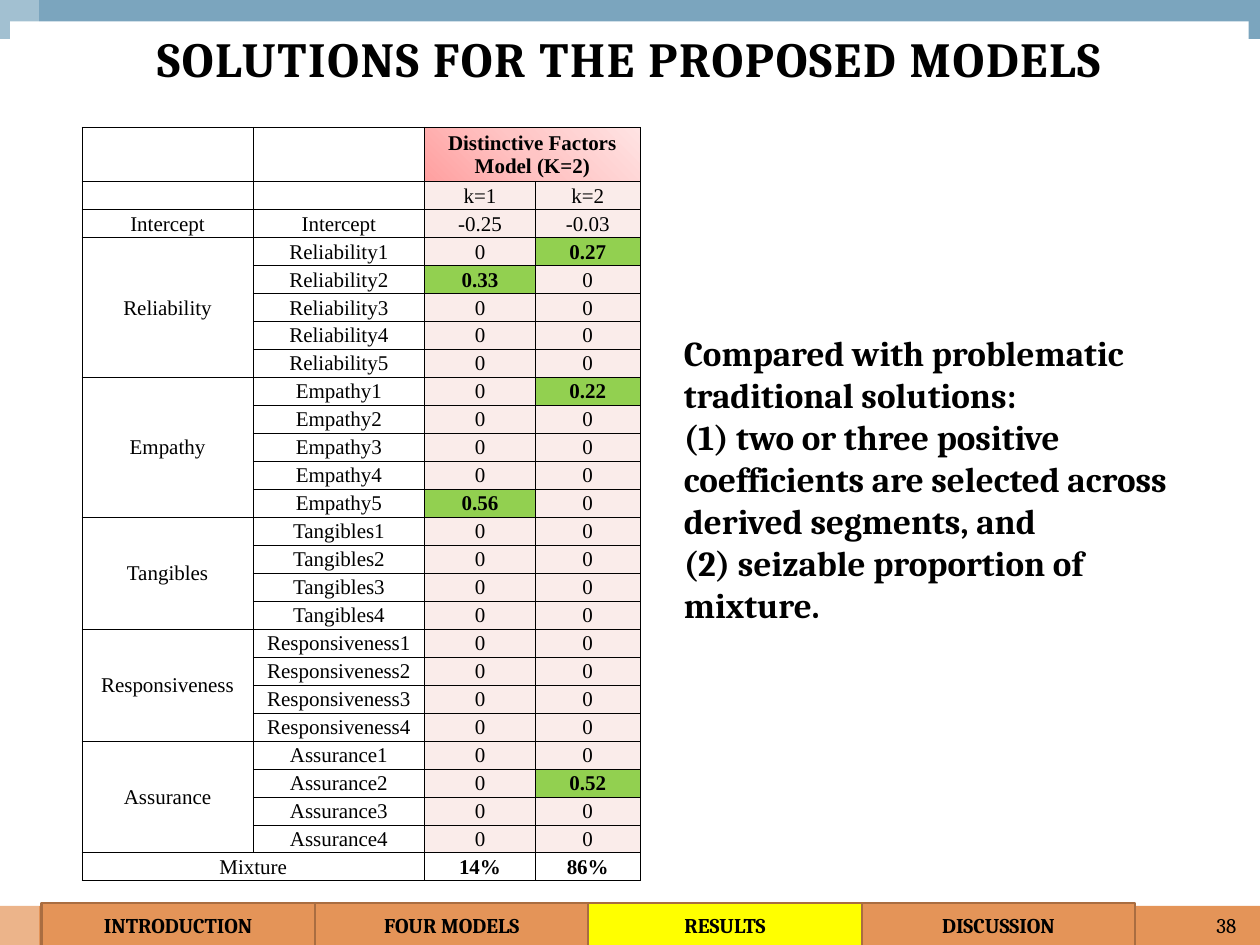
from dataclasses import dataclass
from typing import NamedTuple

from lxml.etree import SubElement
from pptx import Presentation
from pptx.dml.color import RGBColor
from pptx.enum.shapes import MSO_SHAPE
from pptx.enum.text import MSO_ANCHOR as Anchor, PP_ALIGN as Align
from pptx.oxml.ns import qn
from pptx.util import Inches, Pt


@dataclass(frozen=True)
class Theme:
    heading_font: str = "Cambria"
    table_font: str = "Times New Roman"
    title_size: int = 28
    body_size: int = 20
    small_size: int = 12
    black: str = "000000"
    white: str = "FFFFFF"
    orange: str = "E49458"
    orange_line: str = "A96D41"
    blue: str = "7BA5BE"
    active: str = "FFFF00"
    value: str = "FAECEA"
    selected: str = "92D050"
    header_stops: tuple = ((0, "FFA0A0"), (50, "FFC5C5"), (100, "FFE3E3"))


class Box(NamedTuple):
    left: float
    top: float
    width: float
    height: float

    def lengths(self) -> list:
        return [Inches(v) for v in self]


class Factor(NamedTuple):
    name: str
    items: int


T = Theme()
FACTORS = [Factor("Reliability", 5), Factor("Empathy", 5), Factor("Tangibles", 4),
           Factor("Responsiveness", 4), Factor("Assurance", 4)]
COEFFICIENTS = {"Reliability1": ("0", "0.27"), "Reliability2": ("0.33", "0"),
                "Empathy1": ("0", "0.22"), "Empathy5": ("0.56", "0"),
                "Assurance2": ("0", "0.52")}
SECTIONS = ["INTRODUCTION", "FOUR MODELS", "RESULTS", "DISCUSSION"]
CURRENT_SECTION = "RESULTS"
TABLE_BOX = Box(0.65, 1.01, 4.43, 5.99)
COLUMN_WIDTHS = [1.36, 1.36, 0.88, 0.83]
HEADER_HEIGHT = 0.43


def rgb(color: str) -> RGBColor:
    return RGBColor.from_string(color)


def add_rect(s, box: Box, fill: str, line: str = "", opacity: int = 100):
    sp = s.shapes.add_shape(MSO_SHAPE.RECTANGLE, *box.lengths())
    sp.shadow.inherit = False
    sp.fill.solid()
    sp.fill.fore_color.rgb = rgb(fill)
    if opacity < 100:
        color = sp.fill._xPr.find(".//" + qn("a:srgbClr"))
        SubElement(color, qn("a:alpha"), val=str(opacity * 1000))
    if line:
        sp.line.color.rgb = rgb(line)
        sp.line.width = Pt(1.25)
    else:
        sp.line.fill.background()
    return sp


def set_text(tf, text: str, size: int, align=Align.CENTER, anchor=Anchor.MIDDLE,
             bold: bool = True, font: str = T.heading_font) -> None:
    tf.word_wrap = True
    tf.vertical_anchor = anchor
    tf.text = text
    for p in tf.paragraphs:
        p.alignment = align
        for r in p.runs:
            r.font.name = font
            r.font.size = Pt(size)
            r.font.bold = bold
            r.font.color.rgb = rgb(T.black)


def set_borders(cell) -> None:
    tc_pr = cell._tc.get_or_add_tcPr()
    for i, side in enumerate(("lnL", "lnR", "lnT", "lnB")):
        ln = SubElement(tc_pr, qn(f"a:{side}"), w=str(Pt(0.5)))
        SubElement(SubElement(ln, qn("a:solidFill")), qn("a:srgbClr"), val=T.black)
        tc_pr.insert(i, ln)  # borders come before the fill


def fill_header(cell) -> None:
    cell.fill.gradient()
    cell.fill.gradient_angle = 45
    stops = cell._tc.find(".//" + qn("a:gsLst"))
    for stop in list(stops):
        stops.remove(stop)
    for position, color in T.header_stops:
        stop = SubElement(stops, qn("a:gs"), pos=str(position * 1000))
        SubElement(stop, qn("a:srgbClr"), val=color)


def set_cell(cell, text: str, fill: str, bold: bool) -> None:
    cell.margin_left = cell.margin_right = cell.margin_top = Inches(0.01)
    cell.margin_bottom = 0
    cell.vertical_anchor = Anchor.MIDDLE
    cell.fill.solid()
    cell.fill.fore_color.rgb = rgb(fill)
    tf = cell.text_frame
    tf.text = text
    p = tf.paragraphs[0]
    p.alignment = Align.CENTER
    for r in p.runs:
        r.font.name = T.table_font
        r.font.size = Pt(T.small_size)
        r.font.bold = bold
        r.font.color.rgb = rgb(T.black)
    if not text:  # keeps an empty cell from stretching its row
        SubElement(p._p, qn("a:endParaRPr"), sz=str(T.small_size * 100))
    set_borders(cell)


def table_rows() -> list[tuple[str, ...]]:
    rows = [("", "", "Distinctive Factors Model (K=2)", ""),
            ("", "", "k=1", "k=2"),
            ("Intercept", "Intercept", "-0.25", "-0.03")]
    for factor in FACTORS:
        for n in range(1, factor.items + 1):
            item = f"{factor.name}{n}"
            rows.append((factor.name if n == 1 else "", item,
                         *COEFFICIENTS.get(item, ("0", "0"))))
    return rows + [("Mixture", "", "14%", "86%")]


def add_results_table(s) -> None:
    rows = table_rows()
    last = len(rows) - 1
    table = s.shapes.add_table(len(rows), len(COLUMN_WIDTHS), *TABLE_BOX.lengths()).table
    for column, width in zip(table.columns, COLUMN_WIDTHS):
        column.width = Inches(width)
    for i, row in enumerate(table.rows):
        row.height = Inches((TABLE_BOX.height - HEADER_HEIGHT) / last if i else HEADER_HEIGHT)

    for i, row in enumerate(rows):
        for j, text in enumerate(row):
            is_value = j >= 2 and i < last
            selected = is_value and i > 2 and text != "0"
            fill = T.selected if selected else T.value if is_value else T.white
            set_cell(table.cell(i, j), text, fill,
                     bold=selected or i == 0 or (i == last and j >= 2))

    fill_header(table.cell(0, 2))
    table.cell(0, 2).merge(table.cell(0, 3))
    table.cell(last, 0).merge(table.cell(last, 1))
    top = 3
    for factor in FACTORS:
        table.cell(top, 0).merge(table.cell(top + factor.items - 1, 0))
        top += factor.items


def add_section_tabs(s) -> None:
    width = 2.17
    for i, name in enumerate(SECTIONS):
        fill = T.active if name == CURRENT_SECTION else T.orange
        sp = add_rect(s, Box(0.33 + i * width, 7.17, width, 0.34), fill, T.orange_line)
        set_text(sp.text_frame, name, T.small_size)


def main() -> None:
    prs = Presentation()
    prs.slide_width, prs.slide_height = Inches(10), Inches(7.5)
    s = prs.slides.add_slide(prs.slide_layouts[6])

    add_rect(s, Box(0, 7.19, 10, 0.31), T.orange)
    add_rect(s, Box(0, 0, 10, 0.31), T.blue)
    add_rect(s, Box(0, 0, 0.31, 7.5), T.white, opacity=30)

    title = add_rect(s, Box(0.08, 0.17, 9.83, 0.58), T.white)
    set_text(title.text_frame, "SOLUTIONS FOR THE PROPOSED MODELS", T.title_size)
    title.text_frame.paragraphs[0].runs[0].font._element.set("spc", "100")

    number = s.shapes.add_textbox(*Box(7.58, 7.19, 2.33, 0.31).lengths())
    set_text(number.text_frame, "38", T.small_size, Align.RIGHT, bold=False)

    comment = add_rect(s, Box(5.33, 2.58, 4.5, 2.46), T.white)
    set_text(comment.text_frame,
             "Compared with problematic traditional solutions: \v(1) two or three positive "
             "coefficients are selected across derived segments, and\n"
             "(2) seizable proportion of mixture.",
             T.body_size, Align.LEFT, Anchor.TOP)

    add_section_tabs(s)
    add_results_table(s)
    prs.save("out.pptx")


if __name__ == "__main__":
    main()
